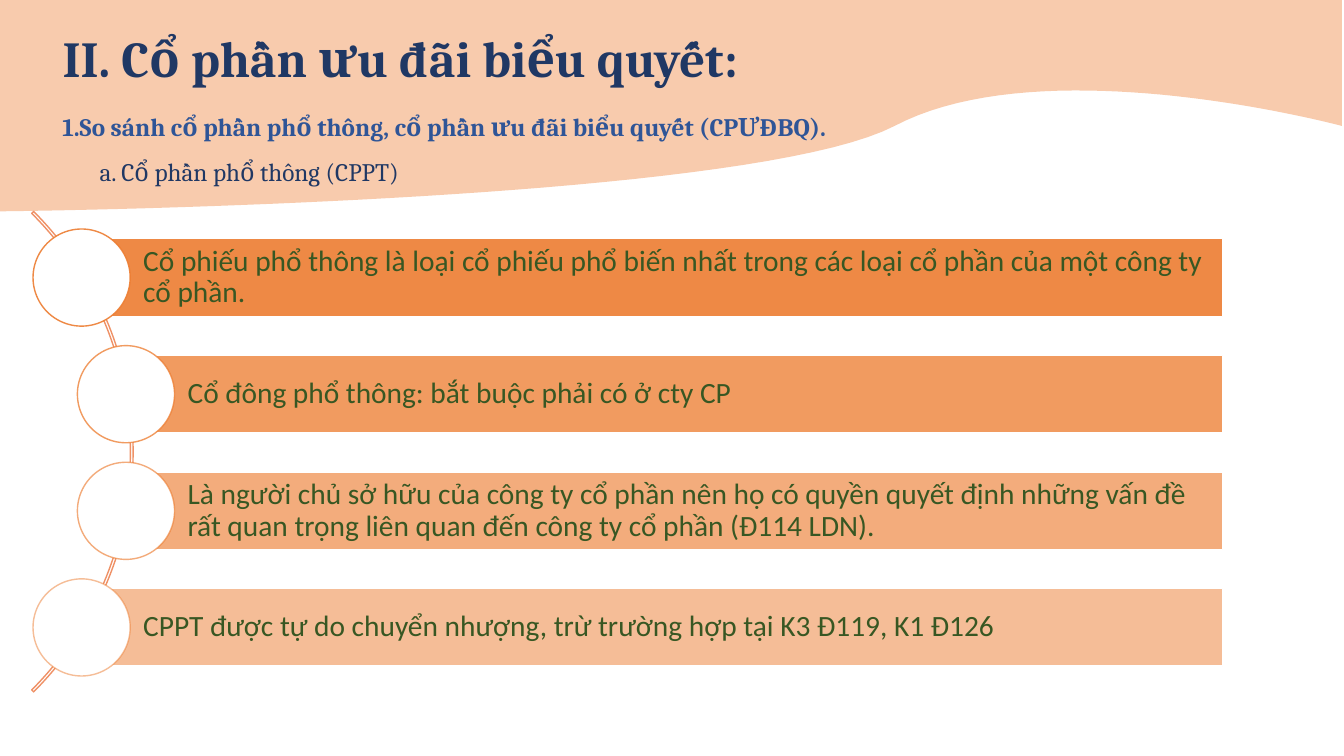
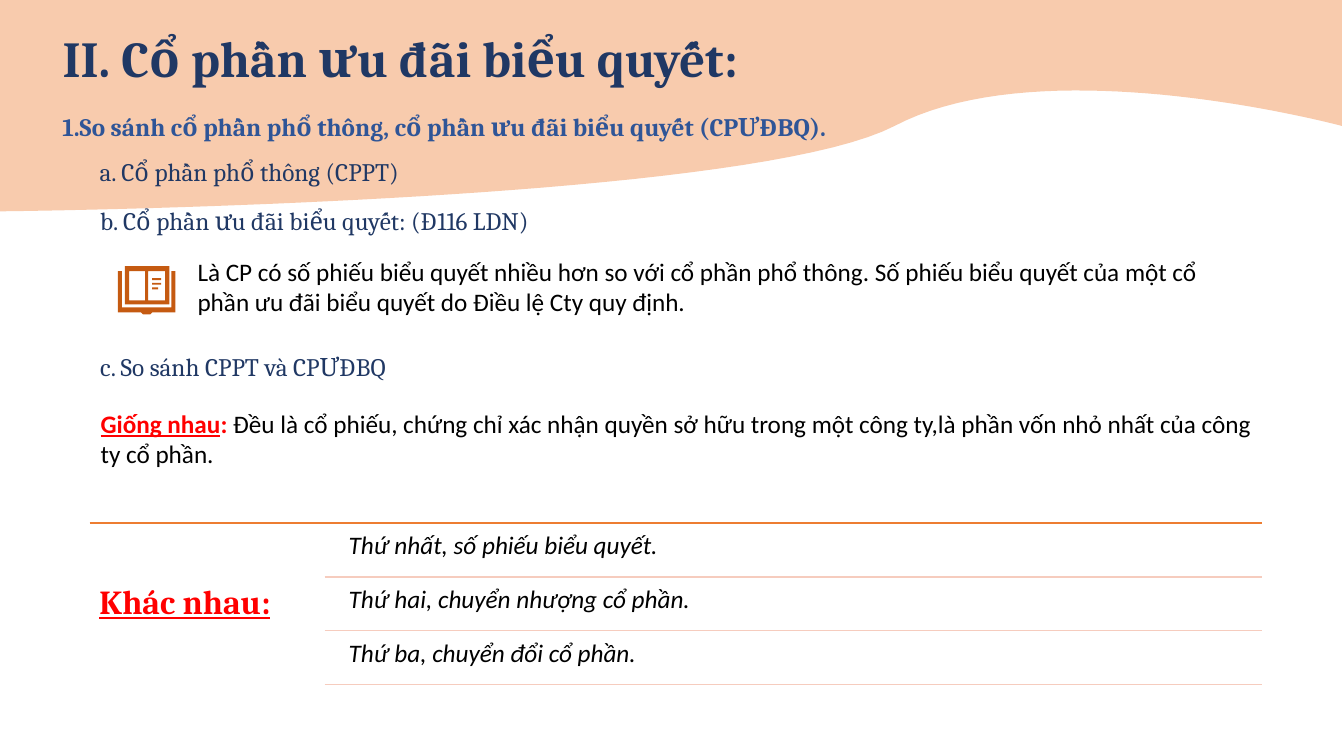
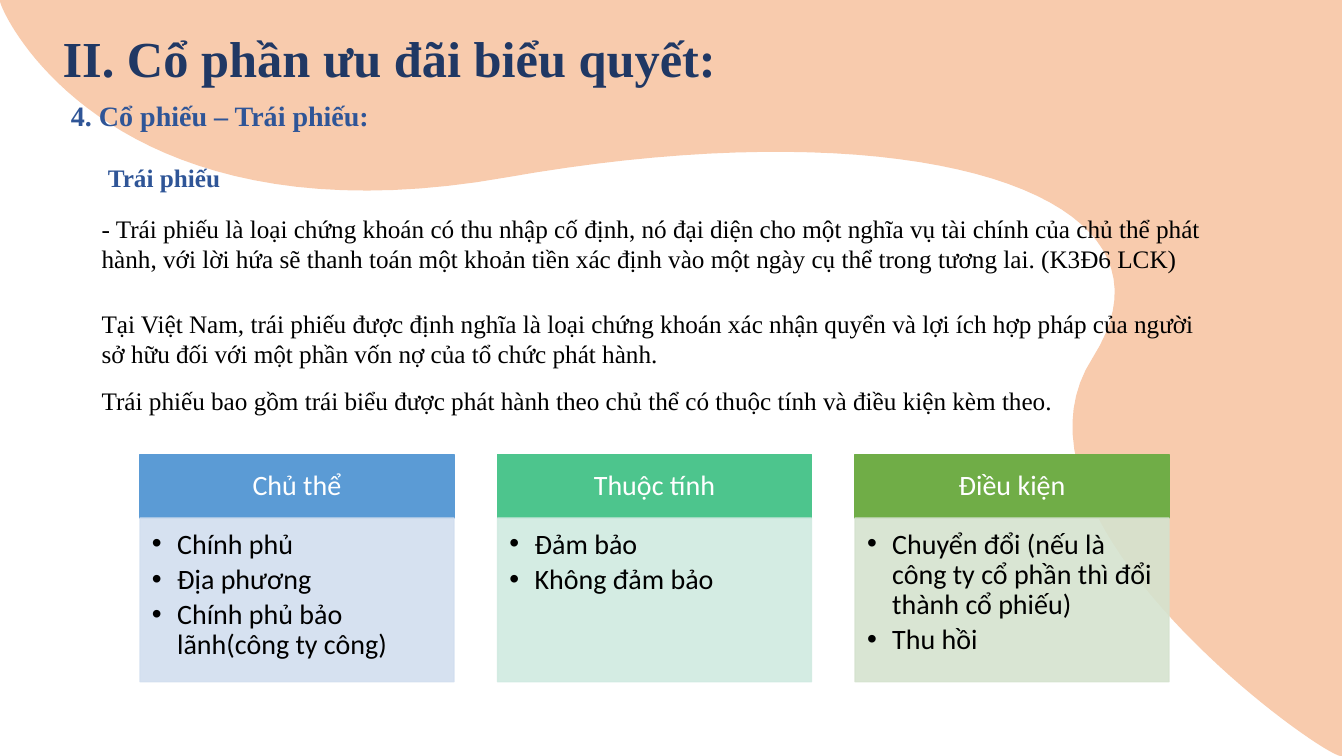
from lxml import etree
from pptx import Presentation
from pptx.dml.color import RGBColor
from pptx.enum import shapes, text
from pptx.oxml import ns
from pptx.util import Pt

# Shared style
NAVY, BLUE, PEACH, ORANGE = "203864", "2F5597", "F8CBAD", "ED7D31"
BLACK, WHITE, RED, GREEN = "000000", "FFFFFF", "FF0000", "385723"
SERIF, SANS, TIMES = "Cambria", "Calibri", "Times New Roman"
TITLE = "II. Cổ phần ưu đãi biểu quyết:"
MIDDLE, TOP = text.MSO_ANCHOR.MIDDLE, text.MSO_ANCHOR.TOP
LEFT, CENTER = text.PP_ALIGN.LEFT, text.PP_ALIGN.CENTER
INSETS = (7.2, 3.6, 7.2, 3.6)

# Backdrops: pairs are points, six numbers are a Bezier curve
WAVE = [(-1.5, -2), (-1.5, 151), (-1.5, 151, 531, 146, 639, 90),
        (747, 33, 958.5, 90, 958.5, 90), (958.5, -2)]
BLOB = [(958.5, 0), (0, 0), (-3.6, 0, 70, 178.6, 362, 126.7),
        (654.5, 75, 855.4, 138, 780.5, 255.6),
        (705, 372, 950.4, 545, 958.5, 540)]

# Content
COMPARE = ("1.So sánh cổ phần phổ thông, cổ phần ưu đãi biểu quyết (CPƯĐBQ).",
           "a. Cổ phần phổ thông (CPPT)")
COMMON_SHARES = [  # text, left, opacity
    ("Cổ phiếu phổ thông là loại cổ phiếu phổ biến nhất trong các loại cổ phần "
     "của một công ty cổ phần.", 58.3, 90),
    ("Cổ đông phổ thông: bắt buộc phải có ở cty CP", 90, 77),
    ("Là người chủ sở hữu của công ty cổ phần nên họ có quyền quyết định những "
     "vấn đề rất quan trọng liên quan đến công ty cổ phần (Đ114 LDN).", 90, 63),
    ("CPPT được tự do chuyển nhượng, trừ trường hợp tại K3 Đ119, K1 Đ126",
     58.3, 50),
]
VOTING_HEADS = [  # text, left, top, width
    ("b. Cổ phần ưu đãi biểu quyết: (Đ116 LDN)", 64.4, 143.3, 353.5),
    ("c. So sánh CPPT và CPƯĐBQ", 64.5, 247.7, 245),
]
VOTING_TEXT = ("Là CP có số phiếu biểu quyết nhiều hơn so với cổ phần phổ thông. "
               "Số phiếu biểu quyết của một cổ phần ưu đãi biểu quyết do Điều lệ "
               "Cty quy định.")
SAME = ("Giống nhau", ": ",
        "Đều là cổ phiếu, chứng chỉ xác nhận quyền sở hữu trong một công ty,"
        "là phần vốn nhỏ nhất của công ty cổ phần.")
DIFFERENT = "Khác nhau:"
DIFFERENCES = ["Thứ nhất, số phiếu biểu quyết.",
               "Thứ hai, chuyển nhượng cổ phần.",
               "Thứ ba, chuyển đổi cổ phần."]
BONDS = [  # text, left, top, width, height, size, colour, bold
    ("4. Cổ phiếu – Trái phiếu:", 43.6, 67, 861, 31.5, 20, BLUE, True),
    ("Trái phiếu", 70, 112.3, 110, 29, 18, BLUE, True),
    ("- Trái phiếu là loại chứng khoán có thu nhập cố định, nó đại diện cho một "
     "nghĩa vụ tài chính của chủ thể phát hành, với lời hứa sẽ thanh toán một "
     "khoản tiền xác định vào một ngày cụ thể trong tương lai. (K3Đ6 LCK)",
     65.5, 149, 815, 51, 18, BLACK, False),
    ("Tại Việt Nam, trái phiếu được định nghĩa là loại chứng khoán xác nhận "
     "quyển và lợi ích hợp pháp của người sở hữu đối với một phần vốn nợ của "
     "tổ chức phát hành.", 65.5, 216.5, 815, 51, 18, BLACK, False),
    ("Trái phiếu bao gồm trái biểu được phát hành theo chủ thể có thuộc tính và "
     "điều kiện kèm theo.", 65.5, 271.5, 803.5, 29, 18, BLACK, False),
]
BOND_TYPES = [  # heading, heading fill, body fill, items
    ("Chủ thể", "5B9BD5", "D2DEEF",
     ["Chính phủ", "Địa phương", "Chính phủ bảo lãnh(công ty công)"]),
    ("Thuộc tính", "4DC58D", "D0EAE1", ["Đảm bảo", "Không đảm bảo"]),
    ("Điều kiện", "70AD47", "D5E3CF",
     ["Chuyển đổi (nếu là công ty cổ phần thì đổi thành cổ phiếu)", "Thu hồi"]),
]


# Helpers
def rgb(color):
    return RGBColor.from_string(color)


def paint(fill, color, opacity=100):
    fill.solid()
    fill.fore_color.rgb = rgb(color)
    if opacity < 100:
        solid = fill._xPr.find(ns.qn("a:solidFill"))
        etree.SubElement(solid[0], ns.qn("a:alpha"), val=str(opacity * 1000))


def style(sp, fill=None, line=None, opacity=100, line_opacity=100):
    sp.shadow.inherit = False
    if fill:
        paint(sp.fill, fill, opacity)
    else:
        sp.fill.background()
    if line:
        sp.line.width = Pt(1)
        paint(sp.line.fill, line, line_opacity)
    else:
        sp.line.fill.background()
    return sp


def add_shape(slide, kind, box, **look):
    return style(slide.shapes.add_shape(kind, *map(Pt, box)), **look)


def format_run(r, size, color, font, bold=False, italic=False, underline=False):
    f = r.font
    f.size, f.name, f.color.rgb = Pt(size), font, rgb(color)
    f.bold, f.italic, f.underline = bold, italic, underline


def write(sp, lines, size, color, font=SANS, anchor=TOP, align=LEFT,
          insets=INSETS, spacing=1.0, **marks):
    tf = sp.text_frame
    tf.word_wrap, tf.vertical_anchor = True, anchor
    tf.auto_size = text.MSO_AUTO_SIZE.NONE
    tf.margin_left, tf.margin_top, tf.margin_right, tf.margin_bottom = map(Pt, insets)
    for i, line in enumerate(lines):
        p = tf.add_paragraph() if i else tf.paragraphs[0]
        p.text, p.alignment, p.line_spacing = line, align, spacing
        format_run(p.runs[0], size, color, font, **marks)
    return tf


def add_text(slide, line, box, size, color, font=SANS, **options):
    sp = slide.shapes.add_textbox(*map(Pt, box))
    return write(sp, [line], size, color, font, **options)


def add_bullets(tf):
    for p in tf.paragraphs:
        p.space_after = Pt(3.5)
        pPr = p._p.get_or_add_pPr()
        pPr.set("marL", str(Pt(18)))
        pPr.set("indent", str(Pt(-18)))
        etree.SubElement(pPr, ns.qn("a:buFont"), typeface="Arial")
        etree.SubElement(pPr, ns.qn("a:buChar"), char="•")


def add_line(slide, x1, x2, y, color):
    ln = slide.shapes.add_connector(shapes.MSO_CONNECTOR.STRAIGHT,
                                    Pt(x1), Pt(y), Pt(x2), Pt(y))
    ln.line.color.rgb, ln.line.width = rgb(color), Pt(1)
    etree.SubElement(ln._element.spPr, ns.qn("a:effectLst"))


def flatten(outline, steps=40):
    points = []
    for part in outline:
        if len(part) == 2:
            points.append(part)
            continue
        x0, y0 = points[-1]
        x1, y1, x2, y2, x3, y3 = part
        for i in range(1, steps + 1):
            t = i / steps
            a, b, c, d = (1 - t) ** 3, 3 * t * (1 - t) ** 2, 3 * t * t * (1 - t), t ** 3
            points.append((a * x0 + b * x1 + c * x2 + d * x3,
                           a * y0 + b * y1 + c * y2 + d * y3))
    return points


def add_outline(slide, contours, color):
    builder = None
    for contour in contours:
        start, *rest = [(Pt(x), Pt(y)) for x, y in flatten(contour)]
        if builder is None:
            builder = slide.shapes.build_freeform(*start, scale=1.0)
        else:
            builder.move_to(*start)
        builder.add_line_segments(rest, close=True)
    return style(builder.convert_to_shape(), fill=color)


def start_slide(prs, backdrop, font):
    slide = prs.slides.add_slide(prs.slide_layouts[5])
    sp = add_outline(slide, [backdrop], PEACH)
    slide.shapes._spTree.insert(2, sp._element)
    title = slide.shapes.title
    title.left, title.top, title.width, title.height = map(Pt, (37.5, 16, 500, 51))
    write(title, [TITLE], 36, NAVY, font, bold=True)
    return slide


def start_compare_slide(prs):
    slide = start_slide(prs, WAVE, SERIF)
    heading, sub = COMPARE
    add_text(slide, heading, (37.5, 76.3, 688, 29), 18, BLUE, SERIF, bold=True)
    add_text(slide, sub, (64, 108, 240, 29), 18, NAVY, SERIF)
    return slide


def rect(x, y, w, h):
    return [(x, y), (x + w, y), (x + w, y + h), (x, y + h)]


def add_book_icon(slide):
    cover = [(122.4, 193.7), (122.4, 219.6), (87.1, 219.6), (87.1, 193.7),
             (84.2, 193.7), (84.2, 223.2), (100.8, 223.2), (102.2, 224.6),
             (107.3, 224.6), (108.7, 223.2), (125.3, 223.2), (125.3, 193.7)]
    pages = [rect(89.3, 190, 31.7, 27.4), rect(92.2, 193.7, 11.5, 20.9),
             rect(105.8, 193.7, 12.3, 20.9)]
    print_lines = [rect(108.7, 198.7 + 3.3 * i, w, 1.4)
                   for i, w in enumerate((6.5, 6.5, 4.3))]
    add_outline(slide, [cover, *pages, *print_lines], "C55A11")


# Slides
def common_shares_slide(prs):
    slide = start_compare_slide(prs)
    kind = shapes.MSO_SHAPE
    arc = add_shape(slide, kind.BLOCK_ARC, (-390.2, 80, 485.3, 485.3), line="EF9166")
    for i, value in enumerate((189, 27, 0.004)):
        arc.adjustments[i] = value
    right, top, step, height, disc = 873.4, 170.6, 83.3, 55.4, 69.4
    for i, (line, left, opacity) in enumerate(COMMON_SHARES):
        y = top + i * step
        bar = add_shape(slide, kind.RECTANGLE, (left, y, right - left, height),
                        fill=ORANGE, line=WHITE, opacity=opacity)
        write(bar, [line], 21, GREEN, anchor=MIDDLE, spacing=0.9,
              insets=(44, 4.2, 4.2, 4.2))
        add_shape(slide, kind.OVAL,
                  (left - disc / 2, y + (height - disc) / 2, disc, disc),
                  fill=WHITE, line=ORANGE, line_opacity=opacity)


def voting_shares_slide(prs):
    slide = start_compare_slide(prs)
    for line, left, top, width in VOTING_HEADS:
        add_text(slide, line, (left, top, width, 29), 18, NAVY, SERIF)
    add_book_icon(slide)
    add_text(slide, VOTING_TEXT, (134, 179.3, 768, 73), 18, BLACK)

    # Similarity: marked label, then plain text
    label, colon, body = SAME
    tf = add_text(slide, label, (64.8, 288, 837.4, 51), 18, RED,
                  bold=True, underline=True)
    for line, color, bold in ((colon, RED, True), (body, BLACK, False)):
        r = tf.paragraphs[0].add_run()
        r.text = line
        format_run(r, 18, color, SANS, bold=bold)

    # Differences
    left, split, right, top, step = 64, 231.8, 901.5, 373.7, 38.4
    add_line(slide, left, right, top, ORANGE)
    add_text(slide, DIFFERENT, (left, top, split - left, 3 * step), 24, RED, SERIF,
             anchor=MIDDLE, insets=(7.2,) * 4, spacing=0.9, bold=True, underline=True)
    for i, line in enumerate(DIFFERENCES):
        y = top + i * step
        add_text(slide, line, (split + 12.3, y + 2, right - split - 12.3, 36.5),
                 18, BLACK, insets=(5,) * 4, spacing=0.9, italic=True)
        add_line(slide, split, right, y + step, "F6CCBE")


def bonds_slide(prs):
    slide = start_slide(prs, BLOB, TIMES)
    for line, left, top, width, height, size, color, bold in BONDS:
        add_text(slide, line, (left, top, width, height), size, color, TIMES, bold=bold)
    left, step, width, top, head, body = 100, 255.4, 224.2, 324.5, 45.5, 117
    for i, (heading, dark, light, items) in enumerate(BOND_TYPES):
        x = left + i * step
        sp = add_shape(slide, shapes.MSO_SHAPE.RECTANGLE, (x, top, width, head),
                       fill=dark, line=dark)
        write(sp, [heading], 20, WHITE, anchor=MIDDLE, align=CENTER, spacing=0.9,
              insets=(11.4, 6.5, 11.4, 6.5))
        sp = add_shape(slide, shapes.MSO_SHAPE.RECTANGLE,
                       (x, top + head, width, body),
                       fill=light, line=light, opacity=90, line_opacity=90)
        add_bullets(write(sp, items, 20, BLACK, spacing=0.9,
                          insets=(8.5, 8.5, 11.4, 12.2)))


def main():
    prs = Presentation()
    prs.slide_width, prs.slide_height = Pt(960), Pt(540)
    common_shares_slide(prs)
    voting_shares_slide(prs)
    bonds_slide(prs)
    prs.save("out.pptx")


if __name__ == "__main__":
    main()
